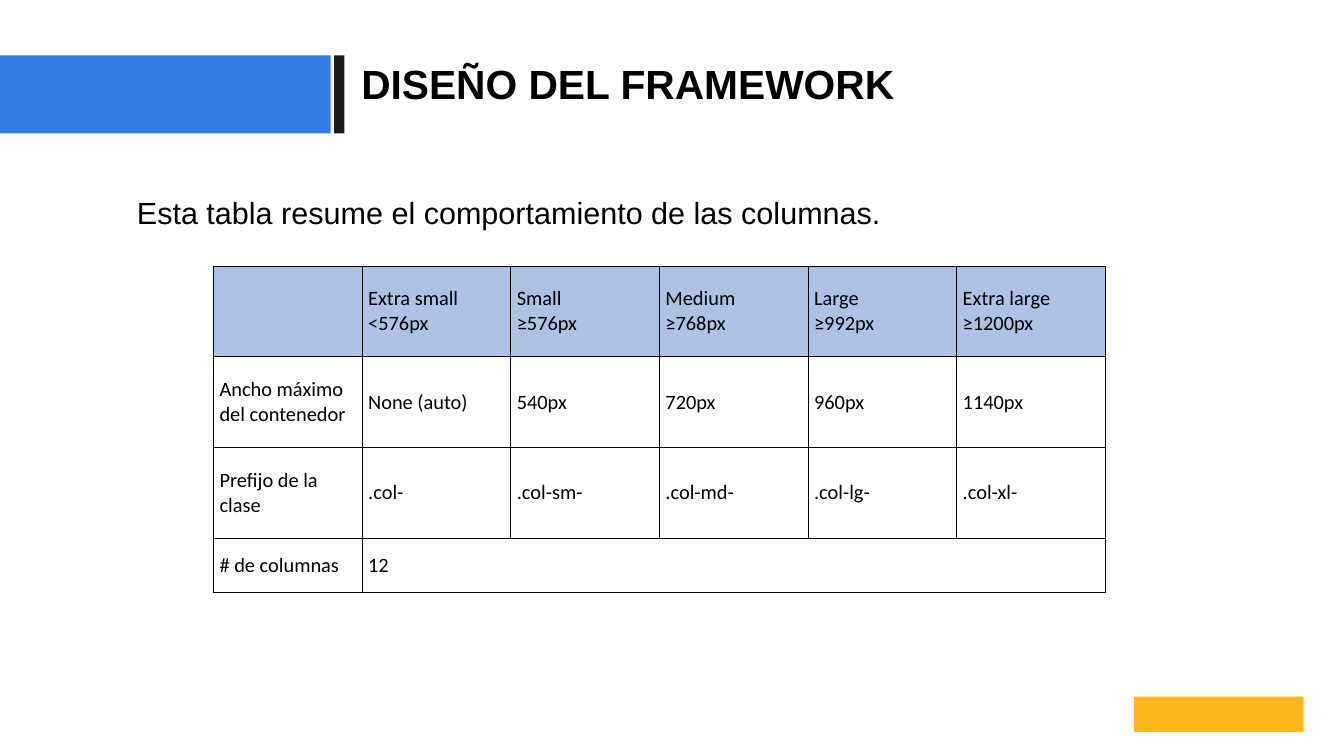
import pptx
import pptx.util
import pptx.dml.color
import pptx.enum.shapes
import pptx.enum.text
import pptx.oxml

HUES = {"blue": "317DE2", "dark": "1A1A1A", "gold": "FEB620",
        "head": "ADC2E5", "ink": "000000"}

deck = pptx.Presentation()
deck.slide_width = pptx.util.Inches(21.99)
deck.slide_height = pptx.util.Inches(12.37)
slide = deck.slides.add_slide(deck.slide_layouts[6])


def place(left, top, width, height):
    """Turn percentages of the slide into lengths."""
    wide, high = deck.slide_width / 100, deck.slide_height / 100
    return [int(n) for n in (left * wide, top * high, width * wide, height * high)]


def style(para, form):
    """Set the font of a paragraph from a dict."""
    for key, value in form.items():
        setattr(para.font, key, value)
    para.font.color.rgb = pptx.dml.color.RGBColor.from_string(HUES["ink"])


# Header bars and plain block at the foot
bars = [
    ("blue", (0, 7.33, 24.6, 10.33)),
    ("dark", (24.87, 7.33, 0.75, 10.33)),
    ("gold", (84.36, 92.16, 12.64, 4.69)),
]
for hue, area in bars:
    bar = slide.shapes.add_shape(
        pptx.enum.shapes.MSO_SHAPE.RECTANGLE, *place(*area))
    bar.shadow.inherit = False
    bar.fill.solid()
    bar.fill.fore_color.rgb = pptx.dml.color.RGBColor.from_string(HUES[hue])
    bar.line.fill.background()

# Title and lead sentence
ALIGN = pptx.enum.text.PP_ALIGN
lines = [
    ("DISEÑO DEL FRAMEWORK", (26.88, 7.84, 47.39, 6.55), 48, True, ALIGN.LEFT),
    ("Esta tabla resume el comportamiento de las columnas.",
     (10.19, 25.71, 75.03, 7.6), 36, False, ALIGN.JUSTIFY),
]
for text, area, size, bold, align in lines:
    frame = slide.shapes.add_textbox(*place(*area)).text_frame
    frame.word_wrap = True
    for side in ("left", "top", "right", "bottom"):
        setattr(frame, "margin_" + side, 0)
    para = frame.paragraphs[0]
    para.text = text
    para.alignment = align
    style(para, {"name": "Arial", "size": pptx.util.Pt(size), "bold": bold})

# Table of column widths
rows = [
    ["", "Extra small\n<576px", "Small\n≥576px", "Medium\n≥768px",
     "Large\n≥992px", "Extra large\n≥1200px"],
    ["Ancho máximo del contenedor", "None (auto)", "540px", "720px", "960px", "1140px"],
    ["Prefijo de la clase", ".col-", ".col-sm-", ".col-md-", ".col-lg-", ".col-xl-"],
    ["# de columnas", "12", "", "", "", ""],
]
highs = [12.02, 12.02, 12.02, 7.07]
grid = slide.shapes.add_table(
    len(rows), len(rows[0]), *place(15.88, 35.17, 6 * 11.06, sum(highs))).table
grid.first_row = grid.horz_banding = False
for row, high in zip(grid.rows, highs):
    row.height = place(0, 0, 0, high)[3]

form = {"name": "Calibri", "size": pptx.util.Pt(24), "bold": False}
edge = ('<a:{} xmlns:a="http://schemas.openxmlformats.org/drawingml/2006/main" w="12700">'
        '<a:solidFill><a:srgbClr val="{}"/></a:solidFill></a:{}>')
for r, row in enumerate(rows):
    for c, text in enumerate(row):
        cell = grid.cell(r, c)
        cell.vertical_anchor = pptx.enum.text.MSO_ANCHOR.MIDDLE
        para = cell.text_frame.paragraphs[0]
        para.text = text
        style(para, form)
        for tag in ("lnL", "lnR", "lnT", "lnB"):
            cell._tc.get_or_add_tcPr().append(
                pptx.oxml.parse_xml(edge.format(tag, HUES["ink"], tag)))
        if r == 0:
            cell.fill.solid()
            cell.fill.fore_color.rgb = pptx.dml.color.RGBColor.from_string(HUES["head"])
        else:
            cell.fill.background()
grid.cell(3, 1).merge(grid.cell(3, 5))

deck.save("out.pptx")
